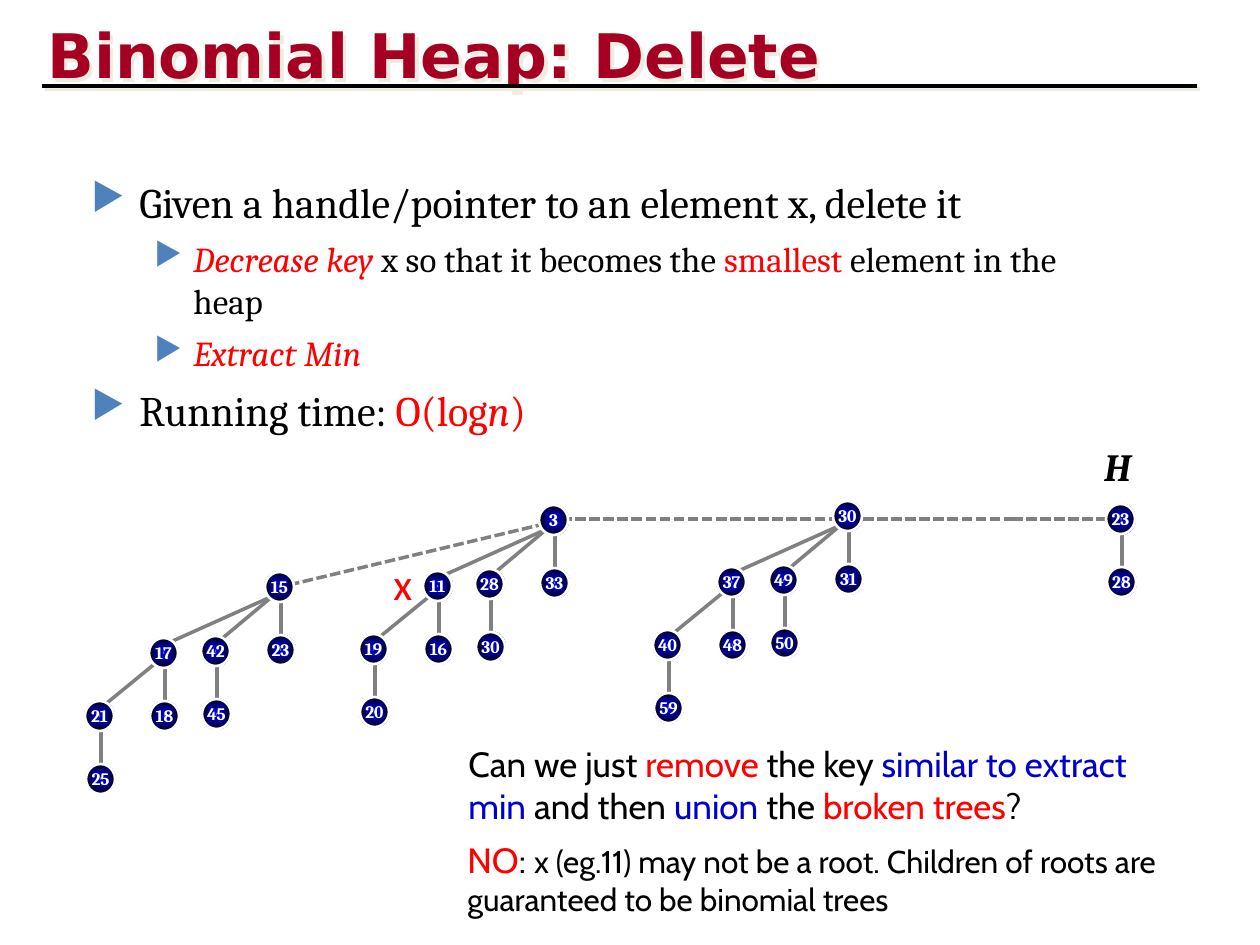
from pptx import Presentation
from pptx.dml.color import RGBColor
from pptx.enum.dml import MSO_LINE
from pptx.enum.shapes import MSO_CONNECTOR, MSO_SHAPE
from pptx.enum.text import MSO_ANCHOR, PP_ALIGN
from pptx.oxml import parse_xml
from pptx.oxml.ns import nsdecls
from pptx.util import Pt

EMU_PER_PX = 914400 / 126
BLACK, RED, BLUE, GRAY, WHITE = "000000", "FF0000", "0000CC", "808080", "FFFFFF"
CRIMSON, BEIGE, BULLET_BLUE = "A50021", "EEECE1", "4F81BD"
NODE_WIDTH, NODE_HEIGHT = 29, 30
# Position in percent, colour, opacity in percent
NODE_STOPS = [(0, BLUE, 100), (0, "002060", 25), (6, "0000C0", 100), (10, "0000B7", 100),
              (16, "0000AB", 100), (21, BLUE, 100), (100, BLACK, 100)]


def px(length):
    return round(length * EMU_PER_PX)


def color(value):
    return RGBColor.from_string(value)


def xml(tag, content="", attributes=""):
    return parse_xml(f"<a:{tag} {nsdecls('a')} {attributes}>{content}</a:{tag}>")


def add_run(paragraph, text, font="Cambria", size=20, fill=BLACK, bold=False, italic=False):
    run = paragraph.add_run()
    run.text = text
    run.font.name = font
    run.font.size = Pt(size)
    run.font.color.rgb = color(fill)
    run.font.bold = bold
    run.font.italic = italic


def set_shadow(shape, visible):
    shadow = (f'<a:outerShdw blurRad="0" dist="35560" dir="2700000">'
              f'<a:srgbClr val="{BEIGE}"/></a:outerShdw>') if visible else ""
    shape.element.spPr.append(xml("effectLst", shadow))


class HeapSlide:
    def __init__(self, slide):
        self.slide = slide

    def text(self, left, top, width, height, paragraphs, shadow=False, **style):
        """Each paragraph is (bullet level or None, [(text, format), ...])."""
        box = self.slide.shapes.add_textbox(px(left), px(top), px(width), px(height))
        frame = box.text_frame
        frame.word_wrap = True
        for index, (level, runs) in enumerate(paragraphs):
            paragraph = frame.add_paragraph() if index else frame.paragraphs[0]
            if index:
                paragraph.space_before = Pt(6)
            if level is not None:
                self.bullet(paragraph, level)
            for content, run_format in runs:
                add_run(paragraph, content, **{**style, **run_format})
        if shadow:
            set_shadow(box, True)

    def bullet(self, paragraph, level):
        paragraph.level = level
        properties = paragraph._p.get_or_add_pPr()
        margin, hang = [(48, 48), (102, 39)][level]
        properties.set("marL", str(px(margin)))
        properties.set("indent", str(-px(hang)))
        properties.append(xml("buClr", f'<a:srgbClr val="{BULLET_BLUE}"/>'))
        properties.append(xml("buSzPct", attributes='val="90000"'))
        properties.append(xml("buChar", attributes='char="▶"'))

    def line(self, start, end, fill=GRAY, width=2, dashed=False, shadow=False):
        connector = self.slide.shapes.add_connector(
            MSO_CONNECTOR.STRAIGHT, *map(px, (*start, *end)))
        connector.line.color.rgb = color(fill)
        connector.line.width = Pt(width)
        if dashed:
            connector.line.dash_style = MSO_LINE.SQUARE_DOT
        set_shadow(connector, shadow)

    def node(self, left, top, key):
        shape = self.slide.shapes.add_shape(
            MSO_SHAPE.OVAL, px(left), px(top), px(NODE_WIDTH), px(NODE_HEIGHT))
        shape.shadow.inherit = False
        shape.line.color.rgb = color(WHITE)
        shape.line.width = Pt(1.5)
        stops = "".join(
            f'<a:gs pos="{position * 1000}"><a:srgbClr val="{fill}">'
            f'<a:alpha val="{opacity * 1000}"/></a:srgbClr></a:gs>'
            for position, fill, opacity in NODE_STOPS)
        center = '<a:fillToRect l="50000" t="50000" r="50000" b="50000"/>'
        gradient = xml("gradFill", f'<a:gsLst>{stops}</a:gsLst><a:path path="shape">{center}</a:path>')
        shape.element.spPr.prstGeom.addnext(gradient)
        frame = shape.text_frame
        frame.word_wrap = False
        frame.vertical_anchor = MSO_ANCHOR.MIDDLE
        paragraph = frame.paragraphs[0]
        paragraph.alignment = PP_ALIGN.CENTER
        add_run(paragraph, str(key), size=10, fill=WHITE, bold=True)

    def tree(self, left, top, keys):
        """Draw a binomial tree; keys follow the order of TREE_NODES."""
        places = [(left + x, top + y) for x, y, _ in TREE_NODES[:len(keys)]]
        for (x, y), (_, _, parent) in zip(places[1:], TREE_NODES[1:]):
            parent_x, parent_y = places[parent]
            if x > parent_x:
                self.line((parent_x + 16, parent_y + NODE_HEIGHT), (parent_x + 16, y + 10))
            else:
                self.line((x + 17, y + 6), (parent_x + 8, parent_y + 24))
        for (x, y), key in zip(places, keys):
            self.node(x, y, key)


# Offset from the root and index of the parent
TREE_NODES = [(0, 0, None), (1, 63, 0), (-64, 64, 0), (-63, 127, 2),
              (-116, 66, 0), (-115, 129, 4), (-180, 129, 4), (-179, 192, 6)]

TREES = [(265, 572, [15, 23, 42, 45, 17, 18, 21, 25]),
         (539, 505, [3, 33, 28, 30, 11, 16, 19, 20]),
         (833, 501, [30, 31, 49, 50, 37, 48, 40, 59]),
         (1106, 504, [23, 28])]

ROOT_LINKS = [((561, 519), (840, 519)), ((863, 519), (1012, 519)),
              ((1012, 519), (1120, 519)), ((289, 585), (544, 524))]


def main():
    presentation = Presentation()
    presentation.slide_width, presentation.slide_height = px(1260), px(945)
    page = HeapSlide(presentation.slides.add_slide(presentation.slide_layouts[6]))
    red, blue, red_italic = {"fill": RED}, {"fill": BLUE}, {"fill": RED, "italic": True}

    # Title and rule
    page.text(35, 11, 1071, 84, [(None, [("Binomial Heap: Delete", {})])], shadow=True,
              font="DejaVu Sans", size=35.1, fill=CRIMSON, bold=True)
    page.line((42, 86), (1197, 86), fill=BLACK, width=2.25, shadow=True)

    # Steps of the operation
    large = {"size": 24}
    page.text(79, 170, 1067, 84, [
        (0, [("Given a handle/pointer to an element x, delete it", large)]),
        (1, [("Decrease key ", red_italic), ("x so that it becomes the ", {}),
             ("smallest", red), (" element in the heap", {})]),
        (1, [("Extract Min", red_italic)]),
        (0, [("Running time: ", large), ("O(log", {**red, **large}),
             ("n", {**red_italic, **large}), (")", {**red, **large})]),
    ])

    # Heap: root list, trees and labels
    for start, end in ROOT_LINKS:
        page.line(start, end, dashed=True)
    for left, top, keys in TREES:
        page.tree(left, top, keys)
    page.text(381, 551, 62, 66, [(None, [("x", red)])], font="Calibri", size=25)
    page.text(1092, 437, 72, 59, [(None, [("H", {})])], size=22, bold=True, italic=True)

    # Question and answer
    page.text(456, 736, 741, 97, [(None, [
        ("Can we just ", {}), ("remove", red), (" the key ", {}),
        ("similar to extract min", blue), (" and then ", {}), ("union", blue),
        (" the ", {}), ("broken trees", red), ("?", {})])], font="Cabin")
    page.text(455, 832, 741, 93, [(None, [
        ("NO", red), (": ", {}),
        ("x (eg.11) may not be a root. Children of roots are guaranteed to be binomial trees",
         {"size": 18})])], font="Cabin")

    presentation.save("out.pptx")


if __name__ == "__main__":
    main()
